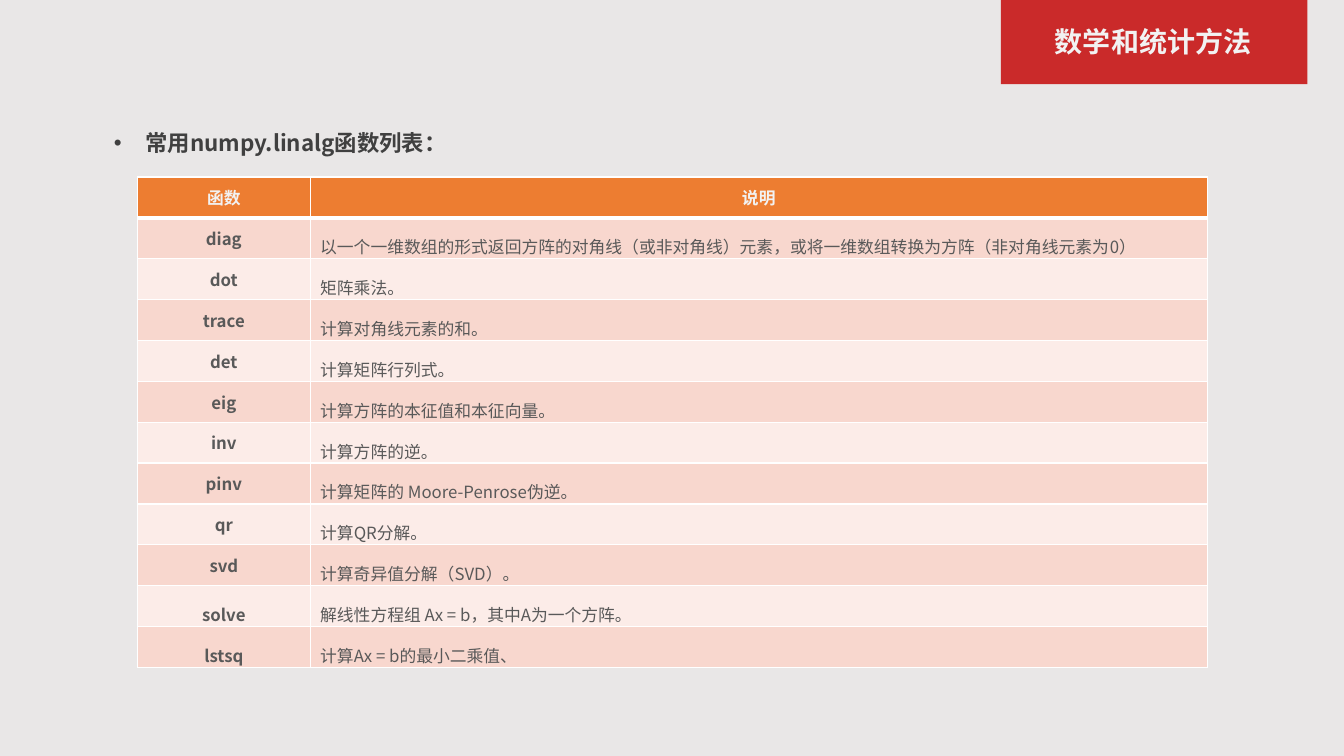
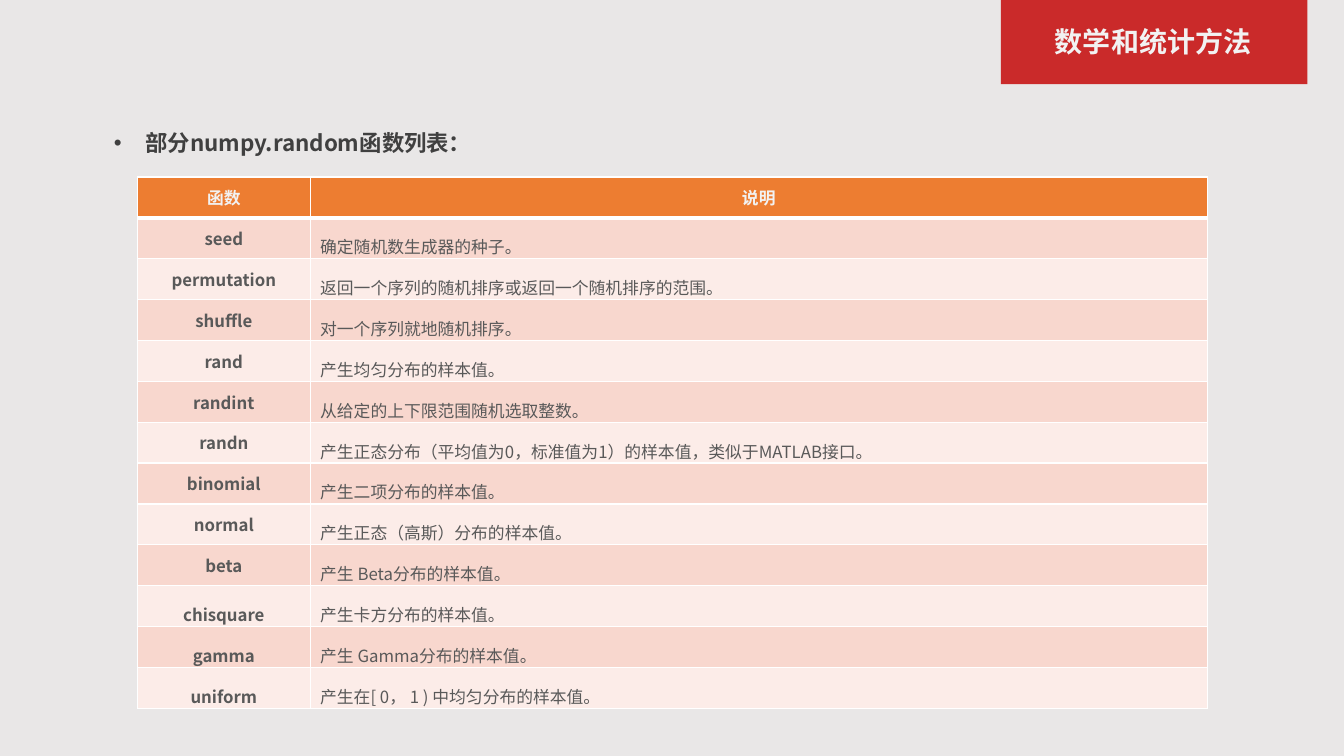
from dataclasses import dataclass

from lxml.etree import SubElement
from pptx import Presentation
from pptx.dml.color import RGBColor
from pptx.enum.shapes import MSO_SHAPE as Shape
from pptx.enum.text import MSO_ANCHOR as Anchor
from pptx.enum.text import MSO_AUTO_SIZE as AutoSize
from pptx.enum.text import PP_ALIGN as Align
from pptx.oxml.ns import qn
from pptx.util import Pt

FONT = "Noto Sans CJK SC"
BACKGROUND = RGBColor(0xE9, 0xE7, 0xE7)
RED = RGBColor(0xCA, 0x2A, 0x2A)
ORANGE = RGBColor(0xED, 0x7D, 0x31)
ROSE = RGBColor(0xF8, 0xD7, 0xCE)
PALE_ROSE = RGBColor(0xFC, 0xEC, 0xE8)
WHITE = RGBColor(0xFF, 0xFF, 0xFF)
OFF_WHITE = RGBColor(0xF2, 0xF2, 0xF2)
DARK_GREY = RGBColor(0x40, 0x40, 0x40)
GREY = RGBColor(0x59, 0x59, 0x59)

TITLE = "数学和统计方法"
HEADER = ("函数", "说明")
COLUMN_WIDTHS = (Pt(123.2), Pt(641))
ROW_HEIGHT = Pt(29.2)
FIRST_LOOSE_ROW = 10  # names from this row on share the wide line spacing

PLACEHOLDER_FRAME = {
    "word_wrap": True,
    "auto_size": AutoSize.NONE,
    "vertical_anchor": Anchor.TOP,
}
LOOSE_CELL = {"margin_top": Pt(3), "margin_bottom": 0}
TITLE_PARA = {"alignment": Align.CENTER, "line_spacing": 0.9, "space_before": Pt(0)}
LIST_PARA = {"alignment": Align.LEFT, "line_spacing": 1.5, "space_before": Pt(0)}
TITLE_FONT = {"name": FONT, "size": Pt(20), "bold": True}
LIST_FONT = {"name": FONT, "size": Pt(16), "bold": True}
NAME_FONT = {"name": FONT, "size": Pt(12), "bold": True}
MEANING_FONT = NAME_FONT | {"bold": False}


@dataclass(frozen=True)
class Box:
    """A rectangle on the page, in points."""

    left: float
    top: float
    width: float
    height: float

    def lengths(self) -> tuple:
        """Return the four sides as lengths."""
        return tuple(Pt(v) for v in (self.left, self.top, self.width, self.height))


@dataclass(frozen=True)
class FunctionList:
    """One page: its heading and the functions with their meanings."""

    heading: str
    functions: dict[str, str]


BAND_BOX = Box(715, 0, 218.9, 60.2)
TITLE_BOX = Box(715.7, 16.6, 216, 30.2)
LIST_BOX = Box(74.2, 79.2, 774, 36)
TABLE_LEFT, TABLE_TOP = Pt(98.3), Pt(126.4)

FUNCTION_LISTS = (
    FunctionList("常用numpy.linalg函数列表：", {
        "diag": "以一个一维数组的形式返回方阵的对角线（或非对角线）元素，"
                "或将一维数组转换为方阵（非对角线元素为0）",
        "dot": "矩阵乘法。",
        "trace": "计算对角线元素的和。",
        "det": "计算矩阵行列式。",
        "eig": "计算方阵的本征值和本征向量。",
        "inv": "计算方阵的逆。",
        "pinv": "计算矩阵的 Moore-Penrose伪逆。",
        "qr": "计算QR分解。",
        "svd": "计算奇异值分解（SVD）。",
        "solve": "解线性方程组 Ax = b，其中A为一个方阵。",
        "lstsq": "计算Ax = b的最小二乘值、",
    }),
    FunctionList("部分numpy.random函数列表：", {
        "seed": "确定随机数生成器的种子。",
        "permutation": "返回一个序列的随机排序或返回一个随机排序的范围。",
        "shuffle": "对一个序列就地随机排序。",
        "rand": "产生均匀分布的样本值。",
        "randint": "从给定的上下限范围随机选取整数。",
        "randn": "产生正态分布（平均值为0，标准值为1）的样本值，类似于MATLAB接口。",
        "binomial": "产生二项分布的样本值。",
        "normal": "产生正态（高斯）分布的样本值。",
        "beta": "产生 Beta分布的样本值。",
        "chisquare": "产生卡方分布的样本值。",
        "gamma": "产生 Gamma分布的样本值。",
        "uniform": "产生在[ 0， 1 ) 中均匀分布的样本值。",
    }),
)


def set_all(target, formats: dict) -> None:
    """Set every attribute named in formats on the target."""
    for name, value in formats.items():
        setattr(target, name, value)


def write(frame, text: str, para_format: dict, font_format: dict, color: RGBColor):
    """Write one formatted paragraph and return it."""
    para = frame.paragraphs[0]
    set_all(para, para_format)
    span = para.add_run()
    span.text = text
    set_all(span.font, font_format)
    span.font.color.rgb = color
    SubElement(span.font._element, qn("a:ea"), typeface=FONT)
    return para


def place(shape, box: Box) -> None:
    """Move and size a shape."""
    shape.left, shape.top, shape.width, shape.height = box.lengths()


def prepare_layout(deck):
    """Give the title-and-content layout its background and positions."""
    layout = deck.slide_layouts[1]
    fill = deck.slide_master.background.fill
    fill.solid()
    fill.fore_color.rgb = BACKGROUND
    place(layout.placeholders[0], TITLE_BOX)
    place(layout.placeholders[1], LIST_BOX)
    return layout


def move_band_to_layout(page, layout) -> None:
    """Draw the title band and hand it to the layout, behind its placeholders."""
    band = page.shapes.add_shape(Shape.RECTANGLE, *BAND_BOX.lengths())
    band.shadow.inherit = False
    band.fill.solid()
    band.fill.fore_color.rgb = RED
    band.line.fill.background()
    layout.shapes.element.insert(2, band.element)


def set_borders(cell, top: float, bottom: float) -> None:
    """Draw white cell borders of the given top and bottom widths."""
    properties = cell._tc.get_or_add_tcPr()
    widths = {"a:lnL": 1, "a:lnR": 1, "a:lnT": top, "a:lnB": bottom}
    for index, (tag, width) in enumerate(widths.items()):
        line = SubElement(properties, qn(tag), w=str(Pt(width)))
        SubElement(SubElement(line, qn("a:solidFill")), qn("a:srgbClr"), val=str(WHITE))
        properties.insert(index, line)


def fill_cell(cell, text: str, row: int, column: int) -> None:
    """Format one table cell by its row and column and write its text."""
    is_header = row == 0
    is_name = column == 0
    cell.vertical_anchor = Anchor.MIDDLE
    cell.fill.solid()
    cell.fill.fore_color.rgb = ORANGE if is_header else (PALE_ROSE, ROSE)[row % 2]
    set_borders(cell, top=3 if row == 1 else 1, bottom=3 if is_header else 1)
    loose = not is_header and (not is_name or row >= FIRST_LOOSE_ROW)
    if loose:
        set_all(cell, LOOSE_CELL)
    para_format = {
        "alignment": Align.CENTER if is_header or is_name else Align.LEFT,
        "line_spacing": 1.5 if loose else 1.0,
    }
    font_format = NAME_FONT if is_header or is_name else MEANING_FONT
    write(cell.text_frame, text, para_format, font_format,
          OFF_WHITE if is_header else GREY)


def add_function_table(page, functions: dict[str, str]) -> None:
    """Add the table of functions and meanings."""
    rows = (HEADER, *functions.items())
    table = page.shapes.add_table(
        len(rows), len(HEADER), TABLE_LEFT, TABLE_TOP,
        sum(COLUMN_WIDTHS), ROW_HEIGHT * len(rows),
    ).table
    for column, width in zip(table.columns, COLUMN_WIDTHS):
        column.width = width
    for row, texts in enumerate(rows):
        table.rows[row].height = ROW_HEIGHT
        for column, text in enumerate(texts):
            fill_cell(table.cell(row, column), text, row, column)


def add_bullet(para) -> None:
    """Give a paragraph a hanging round bullet."""
    indent = Pt(22.5)
    properties = para._p.get_or_add_pPr()
    properties.set("marL", str(indent))
    properties.set("indent", str(-indent))
    SubElement(properties, qn("a:buFont"), typeface="Arial")
    SubElement(properties, qn("a:buChar"), char="•")


def add_page(deck, layout, content: FunctionList):
    """Add one page with its title, heading and table."""
    page = deck.slides.add_slide(layout)
    title, heading = page.shapes.title, page.placeholders[1]
    for shape in (title, heading):
        set_all(shape.text_frame, PLACEHOLDER_FRAME)
    write(title.text_frame, TITLE, TITLE_PARA, TITLE_FONT, OFF_WHITE)
    add_bullet(write(heading.text_frame, content.heading, LIST_PARA, LIST_FONT, DARK_GREY))
    add_function_table(page, content.functions)
    return page


def main() -> None:
    """Build and save the deck."""
    deck = Presentation()
    deck.slide_width, deck.slide_height = Pt(960), Pt(540)
    layout = prepare_layout(deck)
    pages = [add_page(deck, layout, content) for content in FUNCTION_LISTS]
    move_band_to_layout(pages[0], layout)
    deck.save("out.pptx")


main()
